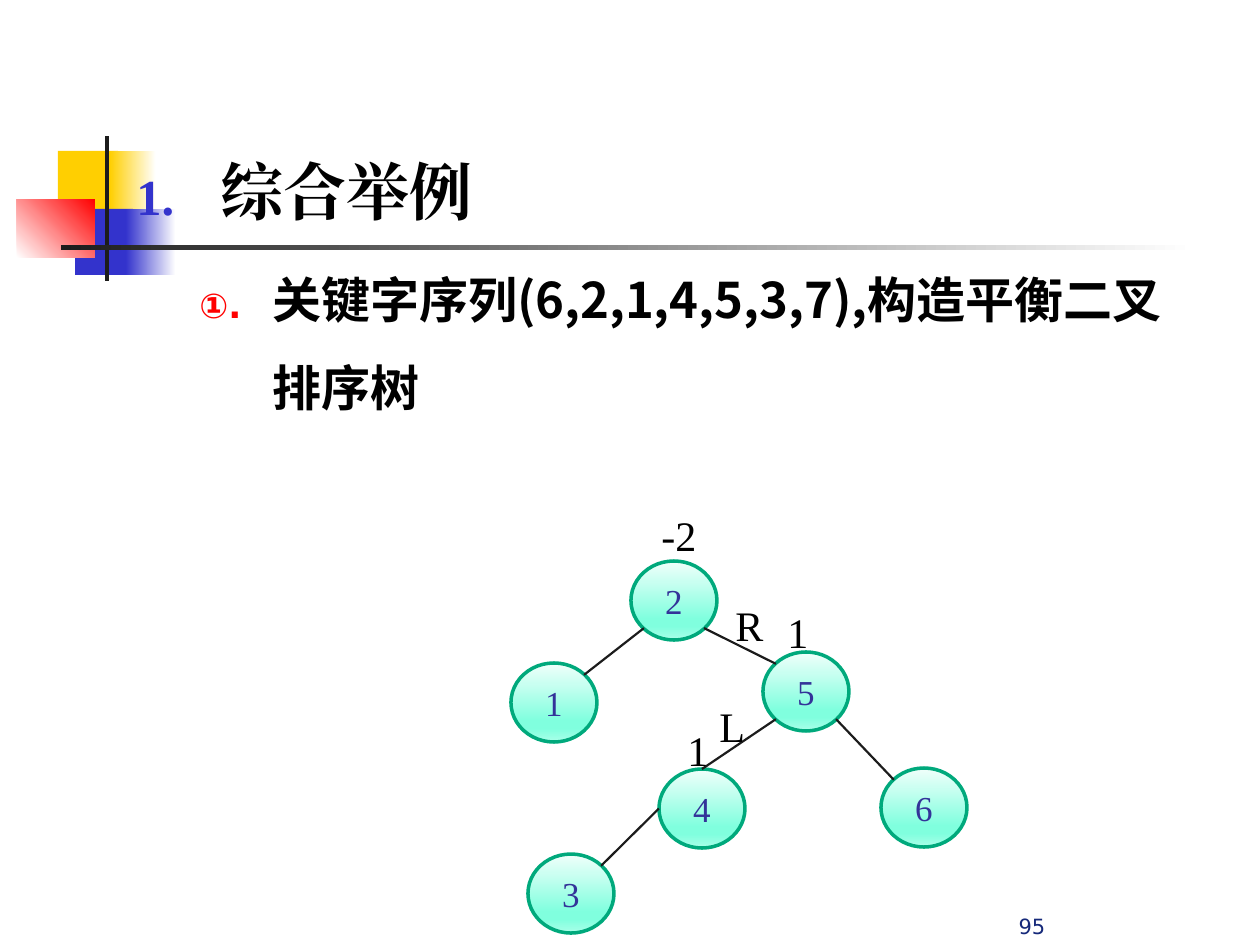
from dataclasses import dataclass

import pptx
import pptx.dml.color
import pptx.enum.shapes
import pptx.enum.text
import pptx.oxml
import pptx.oxml.ns
import pptx.util

SHAPE = pptx.enum.shapes.MSO_SHAPE
ALIGN = pptx.enum.text.PP_ALIGN
ANCHOR = pptx.enum.text.MSO_ANCHOR
FIT = pptx.enum.text.MSO_AUTO_SIZE
NS = pptx.oxml.ns.nsdecls("a")


@dataclass(frozen=True)
class Theme:
    yellow: str = "FFCF01"
    blue: str = "3333CC"
    red: str = "FF0000"
    white: str = "FFFFFF"
    dark: str = "1C1C1C"
    black: str = "000000"
    number: str = "16297A"
    ring: str = "00A97C"
    key: str = "333399"
    mint: tuple = ((0, "F1FFFB"), (74, "80FFDE"), (83, "80FFDE"), (100, "AAFFE9"))
    serif: str = "Times New Roman"
    sans: str = "DejaVu Sans"
    cjk: str = "Noto Sans CJK SC"
    title: int = 36
    body: int = 28
    label: int = 24
    node: int = 20
    small: int = 12


T = Theme()


@dataclass(frozen=True)
class Block:
    box: tuple
    stops: tuple
    angle: int = 0


@dataclass(frozen=True)
class Node:
    key: str
    left: int
    top: int


@dataclass(frozen=True)
class Edge:
    start: str
    start_site: str
    end: str
    end_site: str


@dataclass(frozen=True)
class Label:
    text: str
    left: int
    top: int
    width: int


@dataclass(frozen=True)
class Item:
    text: str
    size: int
    latin: str
    asian: str
    spacing: float
    before: int
    indent: tuple
    bullet: tuple  # colour, size in percent, numbering


BLOCKS = (
    Block((58, 151, 60, 66), ((0, T.yellow),)),
    Block((110, 151, 46, 66), ((0, T.yellow), (100, T.white))),
    Block((75, 209, 58, 66), ((0, T.blue),)),
    Block((126, 209, 50, 66), ((0, T.blue), (100, T.white))),
    Block((17, 199, 78, 59), ((0, T.white), (100, T.red)), 315),
    Block((105, 136, 4, 145), ((0, T.dark),)),
    Block((61, 245, 1134, 5), ((0, T.dark), (100, T.white))),
)
ITEMS = (
    Item("综合举例", T.title, T.serif, T.serif, 0.9, 0, (84, -84),
         (T.blue, 80, "arabicPeriod")),
    Item("关键字序列(6,2,1,4,5,3,7),构造平衡二叉排序树", T.body, T.cjk, T.sans,
         1.5, 6, (136, -73), (T.red, 70, "circleNumDbPlain")),
)
NODE_W, NODE_H = 86, 79
NODES = (
    Node("2", 631, 561), Node("1", 511, 663), Node("5", 763, 652),
    Node("4", 659, 769), Node("6", 881, 768), Node("3", 528, 854),
)
# Points on an ellipse, as parts of its width and height
SITES = {"NW": (0.15, 0.15), "NE": (0.85, 0.15), "SW": (0.15, 0.85),
         "SE": (0.85, 0.85), "N": (0.5, 0), "W": (0, 0.5)}
EDGES = (
    Edge("2", "SW", "1", "NE"), Edge("2", "SE", "5", "NW"),
    Edge("5", "SW", "4", "N"), Edge("5", "SE", "6", "NW"),
    Edge("4", "W", "3", "NE"),
)
LABELS = (
    Label("-2", 649, 503, 60), Label("1", 775, 600, 47), Label("1", 675, 718, 47),
    Label("R", 723, 593, 54), Label("L", 707, 694, 52),
)


def px(n: float) -> pptx.util.Emu:
    return pptx.util.Emu(round(n * 914400 / 126))


def rgb(code: str):
    return pptx.dml.color.RGBColor.from_string(code)


def paint(shape, stops: tuple, angle: int = 0) -> None:
    """Fill with one colour, or with a linear gradient."""
    if len(stops) == 1:
        shape.fill.solid()
        shape.fill.fore_color.rgb = rgb(stops[0][1])
        return
    shape.fill.gradient()
    grad = shape._element.spPr.find(pptx.oxml.ns.qn("a:gradFill"))
    marks = "".join(f'<a:gs pos="{at * 1000}"><a:srgbClr val="{code}"/></a:gs>'
                    for at, code in stops)
    grad.getparent().replace(grad, pptx.oxml.parse_xml(
        f'<a:gradFill {NS} rotWithShape="1"><a:gsLst>{marks}</a:gsLst>'
        f'<a:lin ang="{angle * 60000}" scaled="0"/></a:gradFill>'))


def style(font, size: int, name: str, color: str, bold: bool = False) -> None:
    values = {"size": pptx.util.Pt(size), "name": name, "bold": bold}
    for key, value in values.items():
        setattr(font, key, value)
    font.color.rgb = rgb(color)


def add_block(slide, block: Block) -> None:
    shape = slide.shapes.add_shape(SHAPE.RECTANGLE, *map(px, block.box))
    shape.shadow.inherit = False
    shape.line.fill.background()
    paint(shape, block.stops, block.angle)


def add_item(para, item: Item) -> None:
    left, hang = map(px, item.indent)
    color, size, kind = item.bullet
    props = para._p.get_or_add_pPr()
    props.set("marL", str(left))
    props.set("indent", str(hang))
    values = {"line_spacing": item.spacing, "space_before": pptx.util.Pt(item.before)}
    for key, value in values.items():
        setattr(para, key, value)
    for part in (f'<a:buClr {NS}><a:srgbClr val="{color}"/></a:buClr>',
                 f'<a:buSzPct {NS} val="{size * 1000}"/>',
                 f'<a:buAutoNum {NS} type="{kind}"/>'):
        props.append(pptx.oxml.parse_xml(part))
    run = para.add_run()
    run.text = item.text
    style(run.font, item.size, item.latin, T.black, True)
    run.font._element.find(pptx.oxml.ns.qn("a:latin")).addnext(
        pptx.oxml.parse_xml(f'<a:ea {NS} typeface="{item.asian}"/>'))


def add_text(slide, box: tuple, text: str, look: tuple, **frame):
    shape = slide.shapes.add_textbox(*map(px, box))
    for key, value in frame.items():
        setattr(shape.text_frame, key, value)
    para = shape.text_frame.paragraphs[0]
    para.text = text
    style(para.runs[0].font, *look)
    return para


def add_node(slide, node: Node) -> None:
    shape = slide.shapes.add_shape(
        SHAPE.OVAL, *map(px, (node.left, node.top, NODE_W, NODE_H)))
    shape.shadow.inherit = False
    paint(shape, T.mint, 90)
    shape.line.color.rgb = rgb(T.ring)
    shape.line.width = pptx.util.Pt(2)
    shape.text_frame.vertical_anchor = ANCHOR.MIDDLE
    para = shape.text_frame.paragraphs[0]
    para.text = node.key
    para.alignment = ALIGN.CENTER
    style(para.runs[0].font, T.node, T.serif, T.key)


def site(node: Node, name: str) -> tuple:
    x, y = SITES[name]
    return px(node.left + x * NODE_W), px(node.top + y * NODE_H)


def add_edge(slide, edge: Edge, nodes: dict) -> None:
    line = slide.shapes.add_connector(
        pptx.enum.shapes.MSO_CONNECTOR.STRAIGHT,
        *site(nodes[edge.start], edge.start_site),
        *site(nodes[edge.end], edge.end_site))
    line.line.color.rgb = rgb(T.dark)
    line.line.width = pptx.util.Pt(1.25)
    line._element.spPr.append(pptx.oxml.parse_xml(f"<a:effectLst {NS}/>"))


def main() -> None:
    deck = pptx.Presentation()
    deck.slide_width, deck.slide_height = px(1260), px(945)
    slide = deck.slides.add_slide(deck.slide_layouts[6])

    # Corner ornament and rule
    for block in BLOCKS:
        add_block(slide, block)
    # Numbered heading and task
    frame = slide.shapes.add_textbox(*map(px, (124, 155, 1071, 567))).text_frame
    frame.word_wrap = True
    for i, item in enumerate(ITEMS):
        add_item(frame.add_paragraph() if i else frame.paragraphs[0], item)
    # Slide number
    para = add_text(slide, (804, 915, 456, 30), "95", (T.small, T.sans, T.number),
                    word_wrap=True, vertical_anchor=ANCHOR.BOTTOM)
    para.alignment = ALIGN.CENTER
    # Tree
    for node in NODES:
        add_node(slide, node)
    nodes = {node.key: node for node in NODES}
    for edge in EDGES:
        add_edge(slide, edge, nodes)
    for label in LABELS:
        add_text(slide, (label.left, label.top, label.width, 63), label.text,
                 (T.label, T.serif, T.black), word_wrap=False,
                 auto_size=FIT.SHAPE_TO_FIT_TEXT)
    deck.save("out.pptx")


if __name__ == "__main__":
    main()
